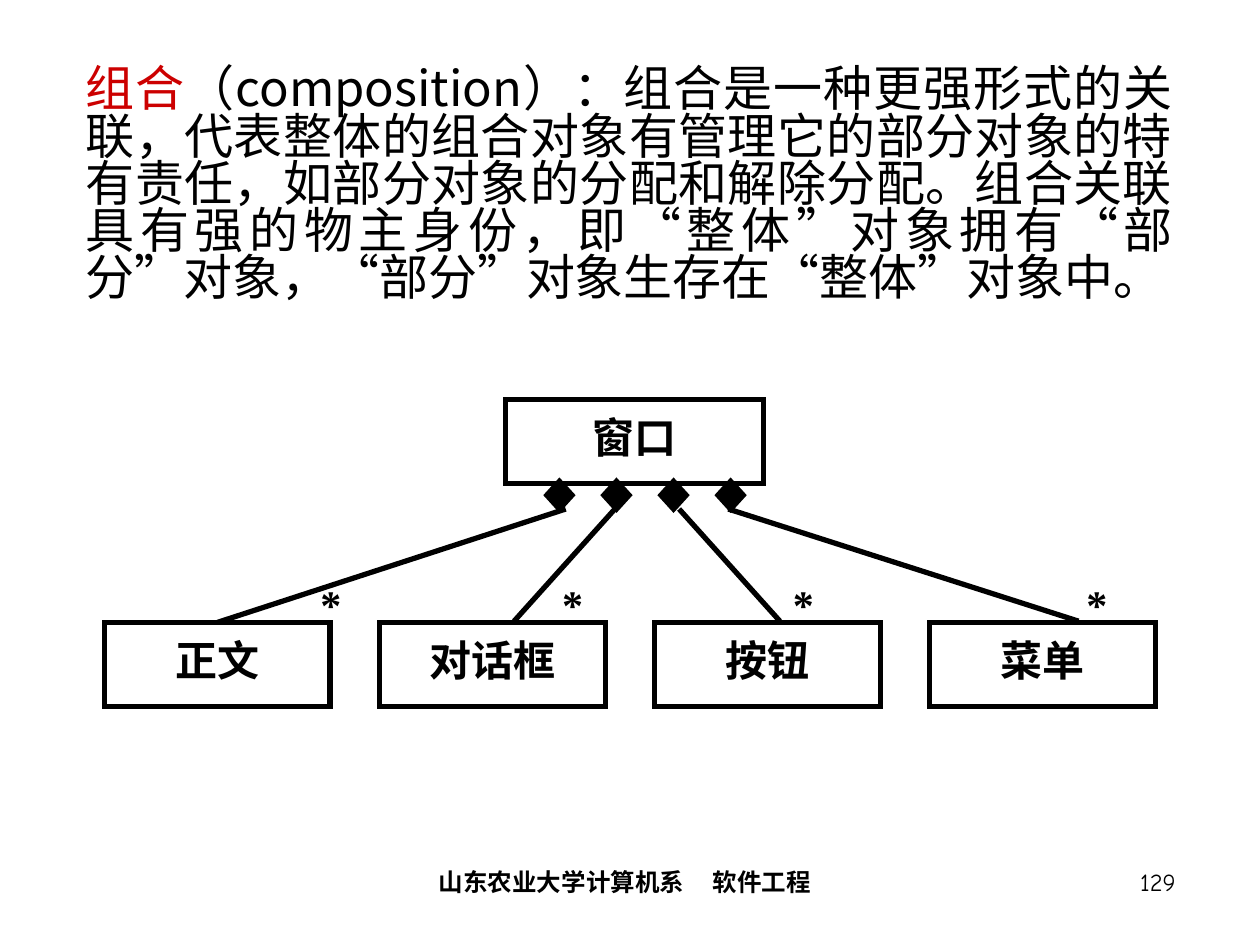
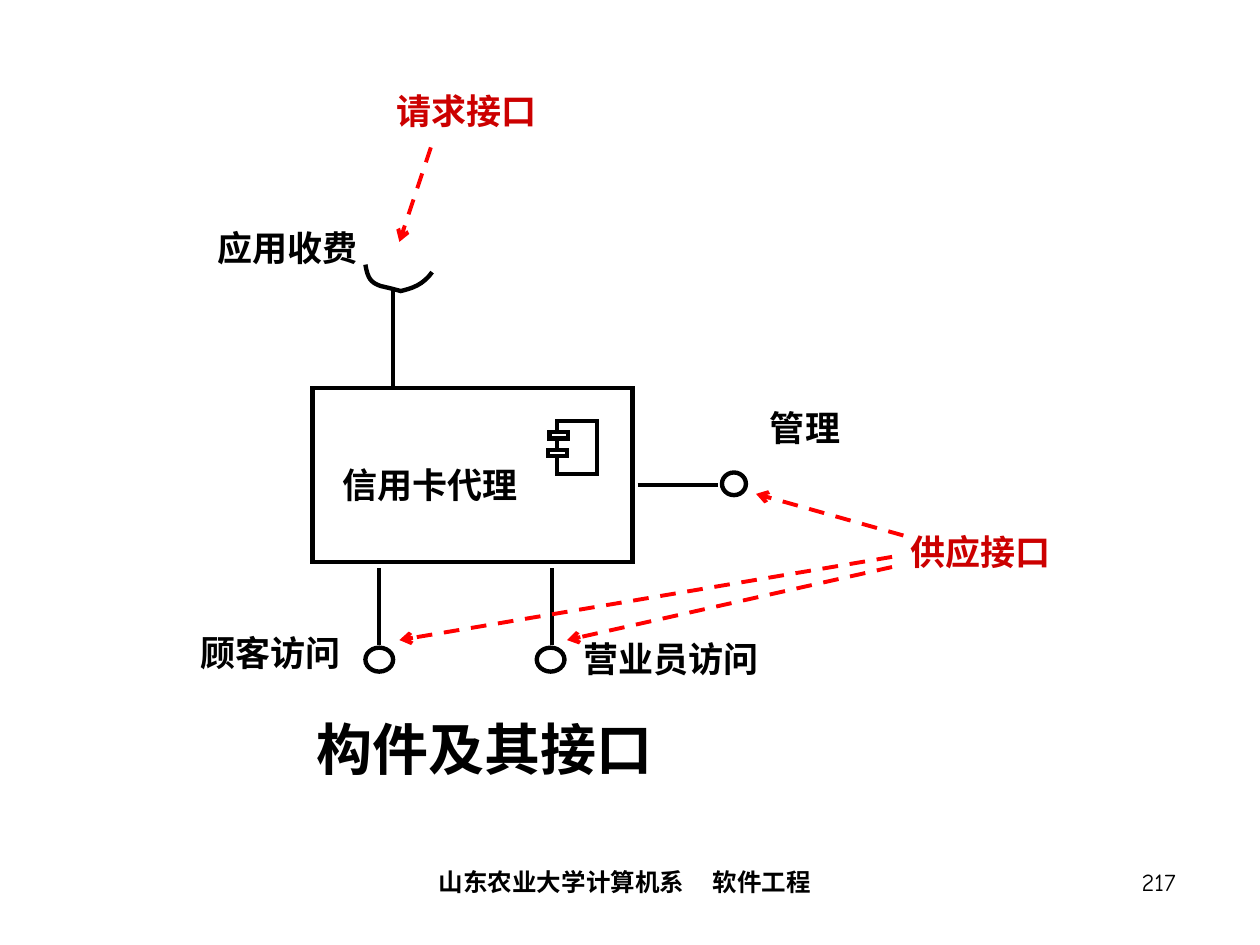
from pptx import Presentation
from pptx.dml.color import RGBColor
from pptx.enum.dml import MSO_LINE
from pptx.enum.shapes import MSO_CONNECTOR, MSO_SHAPE
from pptx.enum.text import MSO_ANCHOR, MSO_AUTO_SIZE, PP_ALIGN
from pptx.oxml.ns import qn
from pptx.util import Inches, Pt
from lxml.etree import SubElement

# Shared look
BLACK, WHITE, RED, ARROW_RED = "000000", "FFFFFF", "CC0000", "FF0000"
HAN, LATIN, ROUNDED = "Noto Sans CJK SC", "Times New Roman", "Comic Neue"
BOX_FONT = dict(name=LATIN, size=Pt(24), bold=True)
LABEL_FONT = dict(name=HAN, size=Pt(20), bold=True)
NOTE_FONT = dict(name=LATIN, size=Pt(20), bold=True)
NUMBER_FONT = dict(name=ROUNDED, size=Pt(14))
FOOTER_FONT = dict(NUMBER_FONT, bold=True)
CENTRED = dict(alignment=PP_ALIGN.CENTER)
TIGHT = dict(alignment=PP_ALIGN.CENTER, line_spacing=0.8)


def rgb(color):
    return RGBColor.from_string(color)


def apply(target, values):
    for name, value in values.items():
        setattr(target, name, value)


def place(shape, box):
    apply(shape, dict(zip(("left", "top", "width", "height"), map(Inches, box))))


def add_run(paragraph, text, font, color=BLACK):
    run = paragraph.add_run()
    run.text = text
    apply(run.font, font)
    run.font.color.rgb = rgb(color)
    SubElement(run.font._element, qn("a:ea"), typeface=HAN)
    return run


def prepare_text(shape, paragraph_format, anchor=MSO_ANCHOR.MIDDLE, wrap=True):
    """Set up the text frame and return its first paragraph."""
    frame = shape.text_frame
    apply(frame, dict(word_wrap=wrap, auto_size=MSO_AUTO_SIZE.NONE,
                      vertical_anchor=anchor))
    paragraph = frame.paragraphs[0]
    apply(paragraph, paragraph_format)
    return paragraph


def add_label(slide, text, box, font=LABEL_FONT, color=BLACK,
              paragraph_format=CENTRED, **options):
    label = slide.shapes.add_textbox(*map(Inches, box))
    add_run(prepare_text(label, paragraph_format, **options), text, font, color)
    return label


def style_outline(shape, fill, width):
    shape.shadow.inherit = False
    if fill:
        shape.fill.solid()
        shape.fill.fore_color.rgb = rgb(fill)
    else:
        shape.fill.background()
    shape.line.color.rgb = rgb(BLACK)
    shape.line.width = Pt(width)
    SubElement(shape.line._get_or_add_ln(), qn("a:miter"), lim="800000")


def add_figure(slide, kind, box, fill=None, width=2.5):
    shape = slide.shapes.add_shape(kind, *map(Inches, box))
    style_outline(shape, fill, width)
    return shape


def add_class_box(slide, text, box):
    shape = add_figure(slide, MSO_SHAPE.RECTANGLE, box, width=3)
    add_run(prepare_text(shape, TIGHT), text, BOX_FONT)
    return shape


def add_line(slide, start, end, color=BLACK, width=2.5):
    line = slide.shapes.add_connector(MSO_CONNECTOR.STRAIGHT,
                                      *map(Inches, start + end))
    line.line.color.rgb = rgb(color)
    line.line.width = Pt(width)
    SubElement(line._element.spPr, qn("a:effectLst"))
    return line


def add_dashed_arrow(slide, start, end):
    arrow = add_line(slide, start, end, ARROW_RED, 2.25)
    arrow.line.dash_style = MSO_LINE.DASH
    SubElement(arrow.line._get_or_add_ln(), qn("a:tailEnd"), type="arrow")


def add_curve(slide, start, segments, steps=8):
    """Draw an open line through cubic Bezier segments."""
    points, origin = [], start
    for first, second, end in segments:
        for step in range(1, steps + 1):
            t = step / steps
            weights = ((1 - t) ** 3, 3 * t * (1 - t) ** 2, 3 * t * t * (1 - t), t ** 3)
            corners = (origin, first, second, end)
            points.append(tuple(
                Inches(sum(w * corner[axis] for w, corner in zip(weights, corners)))
                for axis in (0, 1)))
        origin = end
    builder = slide.shapes.build_freeform(*map(Inches, start))
    builder.add_line_segments(points, close=False)
    style_outline(builder.convert_to_shape(), None, 2.5)


def add_footer(slide, number):
    footer = add_label(slide, "山东农业大学计算机系", (2, 6.83, 5.92, 0.5),
                       FOOTER_FONT, anchor=MSO_ANCHOR.TOP)
    paragraph = footer.text_frame.paragraphs[0]
    gap = add_run(paragraph, " ", FOOTER_FONT)
    gap.font._element.set("spc", "1300")
    add_run(paragraph, "软件工程", FOOTER_FONT)
    add_label(slide, number, (7.35, 6.83, 2.08, 0.5), NUMBER_FONT,
              paragraph_format=dict(alignment=PP_ALIGN.RIGHT),
              anchor=MSO_ANCHOR.TOP)


def build_composition(presentation):
    slide = presentation.slides.add_slide(presentation.slide_layouts[1])
    title = slide.shapes.title
    title._element.getparent().remove(title._element)

    # Definition
    body = slide.placeholders[1]
    place(body, (0.58, 0.5, 8.83, 2.17))
    paragraph = prepare_text(
        body, dict(alignment=PP_ALIGN.JUSTIFY, line_spacing=0.8,
                   space_before=Pt(0)), MSO_ANCHOR.TOP)
    properties = paragraph._p.get_or_add_pPr()
    for name in ("marL", "indent"):
        properties.set(name, "0")
    SubElement(properties, qn("a:buNone"))
    add_run(paragraph, "组合", dict(name=ROUNDED, size=Pt(28)), RED)
    add_run(paragraph,
            "（composition）：组合是一种更强形式的关联，代表整体的组合对象有管理它的"
            "部分对象的特有责任，如部分对象的分配和解除分配。组合关联具有强的物主身份，"
            "即“整体”对象拥有“部分”对象，“部分”对象生存在“整体”对象中。",
            dict(name=HAN, size=Pt(28)))

    # Whole and its parts: name, line start, line end, left of the star
    add_class_box(slide, "窗口", (4.01, 3.17, 2.05, 0.67))
    parts = [("正文", 4.49, 1.71, 2.25), ("对话框", 4.88, 4.08, 4.17),
             ("按钮", 5.39, 6.19, 6), ("菜单", 5.78, 8.56, 8.33)]
    for index, (name, start, end, star_left) in enumerate(parts):
        part = add_class_box(slide, name, (0.83 + index * 2.183, 4.94, 1.79, 0.67))
        add_figure(slide, MSO_SHAPE.DIAMOND,
                   (4.34 + index * 0.453, 3.82, 0.2, 0.22), BLACK, 3)
        line = add_line(slide, (start, 4.04), (end, 4.93), width=3)
        if index == 0:
            line.end_connect(part, 0)
        star = add_label(slide, "*", (star_left, 4.58, 0.67, 0.5), BOX_FONT,
                         paragraph_format=TIGHT)
        star.text_frame.margin_left = Inches(0.18)
    add_footer(slide, "129")


def build_interfaces(presentation):
    slide = presentation.slides.add_slide(presentation.slide_layouts[5])
    title = slide.shapes.title
    place(title, (1.39, 5.51, 4.91, 0.85))
    add_run(prepare_text(title, CENTRED), "构件及其接口",
            dict(name=HAN, size=Pt(32), bold=True))

    # Component with its icon
    for box in [(2.48, 3.08, 2.54, 1.38), (4.42, 3.34, 0.32, 0.42),
                (4.36, 3.43, 0.15, 0.05), (4.35, 3.57, 0.15, 0.05)]:
        add_figure(slide, MSO_SHAPE.RECTANGLE, box, WHITE)

    # Required interface: socket
    add_curve(slide, (2.9, 2.1), [
        ((2.92, 2.21), (2.94, 2.24), (3.02, 2.27)),
        ((3.07, 2.28), (3.18, 2.31), (3.18, 2.31)),
        ((3.27, 2.29), (3.36, 2.26), (3.43, 2.16))])
    add_line(slide, (3.12, 2.31), (3.12, 3.08))

    # Provided interfaces: circle and line
    for box, start, end in [
            ((2.9, 5.14, 0.22, 0.19), (3.01, 4.51), (3.01, 5.12)),
            ((4.26, 5.14, 0.22, 0.19), (4.38, 4.51), (4.38, 5.12)),
            ((5.73, 3.75, 0.19, 0.18), (5.06, 3.85), (5.7, 3.85))]:
        add_figure(slide, MSO_SHAPE.OVAL, box, WHITE)
        add_line(slide, start, end)

    # Labels
    for text, box in [("信用卡代理", (2.59, 3.37, 1.65, 0.95)),
                      ("应用收费", (1.5, 1.54, 1.57, 0.85)),
                      ("管理", (5.36, 2.97, 2.06, 0.85)),
                      ("营业员访问", (4.32, 4.8, 2.01, 0.85)),
                      ("顾客访问", (1.16, 4.75, 1.98, 0.85))]:
        add_label(slide, text, box)

    # Red notes and their arrows
    for text, left, top in [("请求接口", 2.83, 0.59), ("供应接口", 6.91, 4.09)]:
        add_label(slide, text, (left, top, 1.75, 0.58), NOTE_FONT, RED, wrap=False)
    for start, end in [((3.42, 1.17), (3.17, 1.92)), ((7.17, 4.25), (6, 3.92)),
                       ((7.08, 4.42), (3.17, 5.08)), ((7.08, 4.5), (4.5, 5.08))]:
        add_dashed_arrow(slide, start, end)
    add_footer(slide, "217")


def main():
    presentation = Presentation()
    presentation.slide_width = Inches(10)
    presentation.slide_height = Inches(7.5)
    build_composition(presentation)
    build_interfaces(presentation)
    presentation.save("out.pptx")


if __name__ == "__main__":
    main()
